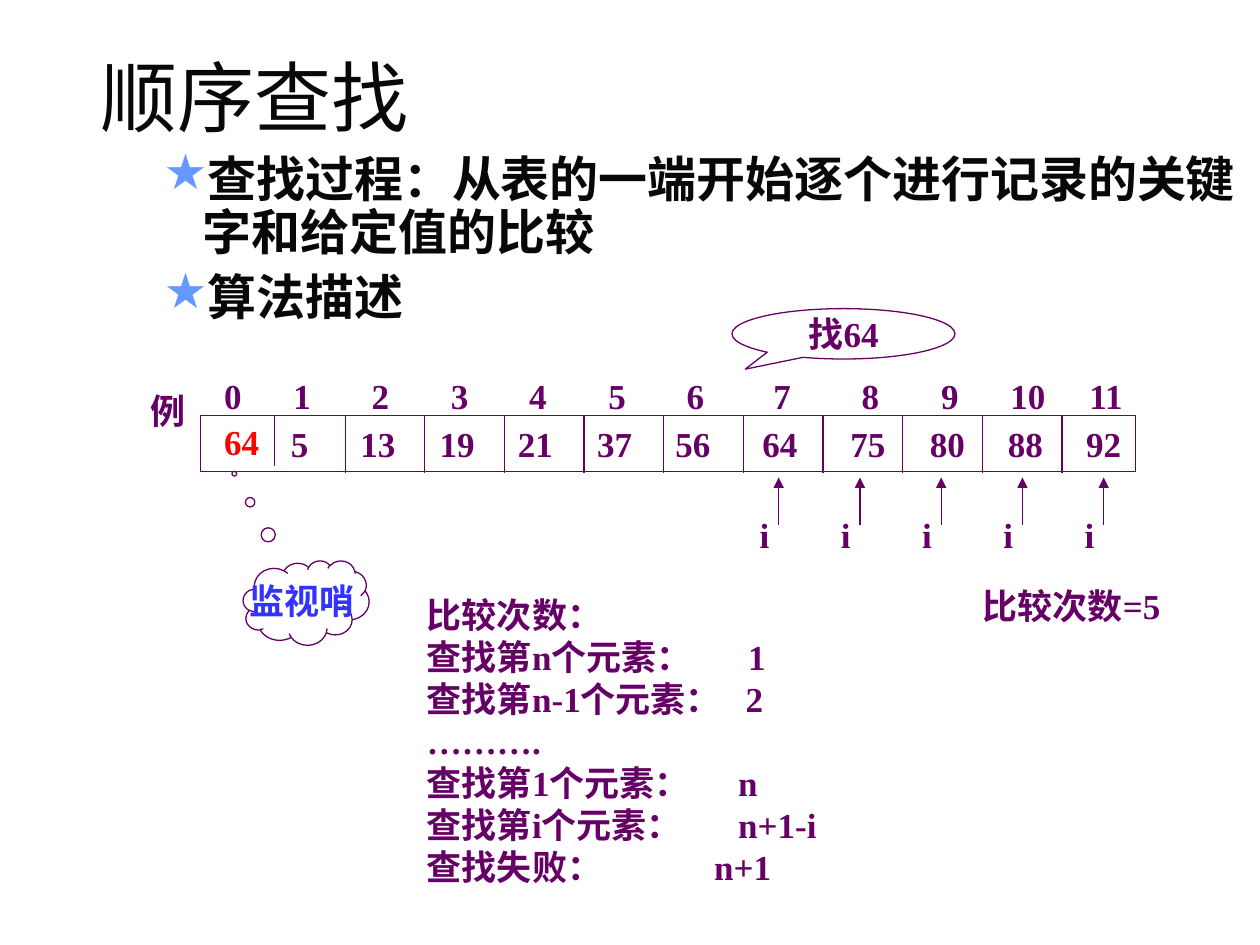
import pptx
import pptx.util
import pptx.dml.color
import pptx.enum.shapes
import pptx.enum.text
import pptx.oxml.ns
import lxml.etree
import dataclasses

Inches = pptx.util.Inches
Align = pptx.enum.text.PP_ALIGN
Anchor = pptx.enum.text.MSO_ANCHOR
Shape = pptx.enum.shapes.MSO_SHAPE


@dataclasses.dataclass
class Theme:
    heading: str = "080808"
    plum: str = "660066"
    red: str = "FF0000"
    blue: str = "3333FF"
    star: str = "6699FF"
    title_size: int = 44
    bullet_size: int = 28
    text_size: int = 20
    line_width: float = 0.75
    title_font: str = "Noto Sans CJK SC"
    bullet_font: str = "Arial"
    text_font: str = "Times New Roman"


theme = Theme()


def write(box, lines, size=theme.text_size, color=theme.plum, font=theme.text_font, bold=True,
          align=Align.LEFT, anchor=Anchor.TOP, wrap=False, spacing=None, before=0,
          bullet=None, tabs=(), tab_align="l"):
    frame = box.text_frame
    frame.word_wrap = wrap
    frame.vertical_anchor = anchor
    frame.auto_size = pptx.enum.text.MSO_AUTO_SIZE.NONE
    frame.margin_left = frame.margin_right = Inches(0.1)
    frame.margin_top = frame.margin_bottom = Inches(0.05)
    for index, line in enumerate(lines):
        para = frame.add_paragraph() if index else frame.paragraphs[0]
        para.alignment = align
        para.line_spacing = spacing
        para.space_before = pptx.util.Pt(before if index else 0)
        properties = para._p.get_or_add_pPr()
        if bullet:
            properties.set("marL", str(Inches(0.81)))
            properties.set("indent", str(-Inches(0.31)))
            bullet_color = lxml.etree.SubElement(properties, pptx.oxml.ns.qn("a:buClr"))
            lxml.etree.SubElement(bullet_color, pptx.oxml.ns.qn("a:srgbClr"), val=theme.star)
            lxml.etree.SubElement(properties, pptx.oxml.ns.qn("a:buChar"), char=bullet)
        if tabs:
            tab_list = lxml.etree.SubElement(properties, pptx.oxml.ns.qn("a:tabLst"))
            stops = tabs if tab_align == "ctr" else tabs[index]
            for stop in stops:
                lxml.etree.SubElement(tab_list, pptx.oxml.ns.qn("a:tab"),
                                      pos=str(Inches(stop)), algn=tab_align)
        span = para.add_run()
        span.text = line
        span.font.size = pptx.util.Pt(size)
        span.font.bold = bold
        span.font.name = font
        span.font.color.rgb = pptx.dml.color.RGBColor.from_string(color)


def draw_line(x, start, end, arrow=False):
    line = slide.shapes.add_connector(pptx.enum.shapes.MSO_CONNECTOR.STRAIGHT,
                                      Inches(x), Inches(start), Inches(x), Inches(end))
    line.line.color.rgb = pptx.dml.color.RGBColor.from_string(theme.plum)
    line.line.width = pptx.util.Pt(theme.line_width)
    properties = line._element.spPr
    lxml.etree.SubElement(properties, pptx.oxml.ns.qn("a:effectLst"))
    if arrow:
        outline = properties.find(pptx.oxml.ns.qn("a:ln"))
        lxml.etree.SubElement(outline, pptx.oxml.ns.qn("a:tailEnd"), type="triangle")


deck = pptx.Presentation()
deck.slide_width = Inches(10)
deck.slide_height = Inches(7.5)
slide = deck.slides.add_slide(deck.slide_layouts[5])

title = slide.shapes.title
title.left, title.top = Inches(0.7), Inches(0.43)
title.width, title.height = Inches(9.3), Inches(0.75)
write(title, ["顺序查找"], size=theme.title_size, color=theme.heading, font=theme.title_font,
      bold=False, wrap=True, spacing=0.9)

bullets = slide.shapes.add_textbox(Inches(0.7), Inches(1.18), Inches(9.3), Inches(1.54))
write(bullets, ["查找过程：从表的一端开始逐个进行记录的关键字和给定值的比较", "算法描述"],
      size=theme.bullet_size, color=theme.heading, font=theme.bullet_font, wrap=True,
      spacing=0.9, before=7, bullet="★")

array = slide.shapes.add_shape(Shape.RECTANGLE, Inches(1.59), Inches(3.3), Inches(7.42), Inches(0.44))
search = slide.shapes.add_shape(Shape.OVAL_CALLOUT, Inches(5.81), Inches(2.45), Inches(1.77), Inches(0.4))
search.adjustments[0], search.adjustments[1] = -0.44, 0.7
sentinel = slide.shapes.add_shape(Shape.CLOUD_CALLOUT, Inches(1.93), Inches(4.45), Inches(1), Inches(0.67))
sentinel.adjustments[0], sentinel.adjustments[1] = -0.57, -1.53
for shape in (array, search, sentinel):
    shape.shadow.inherit = False
    shape.fill.background()
    shape.line.color.rgb = pptx.dml.color.RGBColor.from_string(theme.plum)
    shape.line.width = pptx.util.Pt(theme.line_width)

centers = [2.4, 3.02, 3.65, 4.27, 4.9, 5.52, 6.21, 6.91, 7.54, 8.16, 8.78]
values = [5, 13, 19, 21, 37, 56, 64, 75, 80, 88, 92]
write(array, ["".join(f"\t{value}" for value in values)], anchor=Anchor.MIDDLE, wrap=True,
      tabs=[center - 1.71 for center in centers], tab_align="ctr")
array.text_frame.margin_right = 0
write(search, ["找64"], align=Align.CENTER, anchor=Anchor.MIDDLE)
write(sentinel, ["监视哨"], color=theme.blue, align=Align.CENTER, anchor=Anchor.MIDDLE)

indexes = slide.shapes.add_textbox(Inches(1.68), Inches(2.92), Inches(7.37), Inches(0.44))
write(indexes, ["\t".join(str(index) for index in range(12))], wrap=True,
      tabs=[center - 1.78 for center in centers], tab_align="ctr")

draw_line(2.18, 3.29, 3.7)
for column in range(10):
    draw_line(2.74 + 0.632 * column, 3.3, 3.75)

for step in range(5):
    x = 6.18 + 0.645 * step
    draw_line(x, 4.17, 3.79, arrow=True)
    pointer = slide.shapes.add_textbox(Inches(x - 0.25), Inches(4.03), Inches(0.27), Inches(0.44))
    write(pointer, ["i"])

for text, left, top, width, color in [
    ("例", 1.1, 3.04, 0.54, theme.plum),
    ("64", 1.68, 3.29, 0.48, theme.red),
    ("比较次数=5", 7.7, 4.59, 1.68, theme.plum),
]:
    label = slide.shapes.add_textbox(Inches(left), Inches(top), Inches(width), Inches(0.44))
    write(label, [text], color=color)

counts = slide.shapes.add_textbox(Inches(3.29), Inches(4.66), Inches(3.3), Inches(2.44))
write(counts, ["比较次数：", "查找第n个元素：\t1", "查找第n-1个元素：\t2", "……….",
               "查找第1个元素：\tn", "查找第i个元素：\tn+1-i", "查找失败：\tn+1"],
      wrap=True, tabs=[[], [2.55], [2.53], [], [2.47], [2.47], [2.28]])

deck.save("out.pptx")
